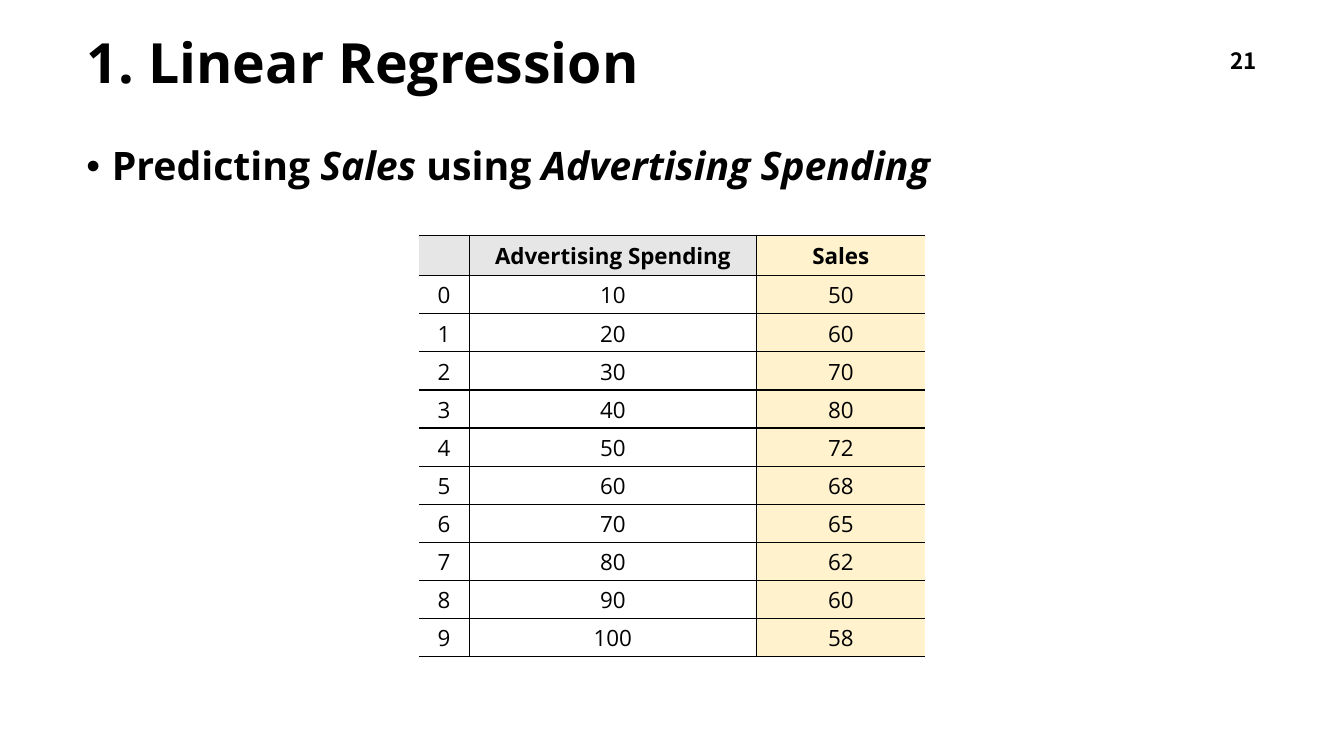
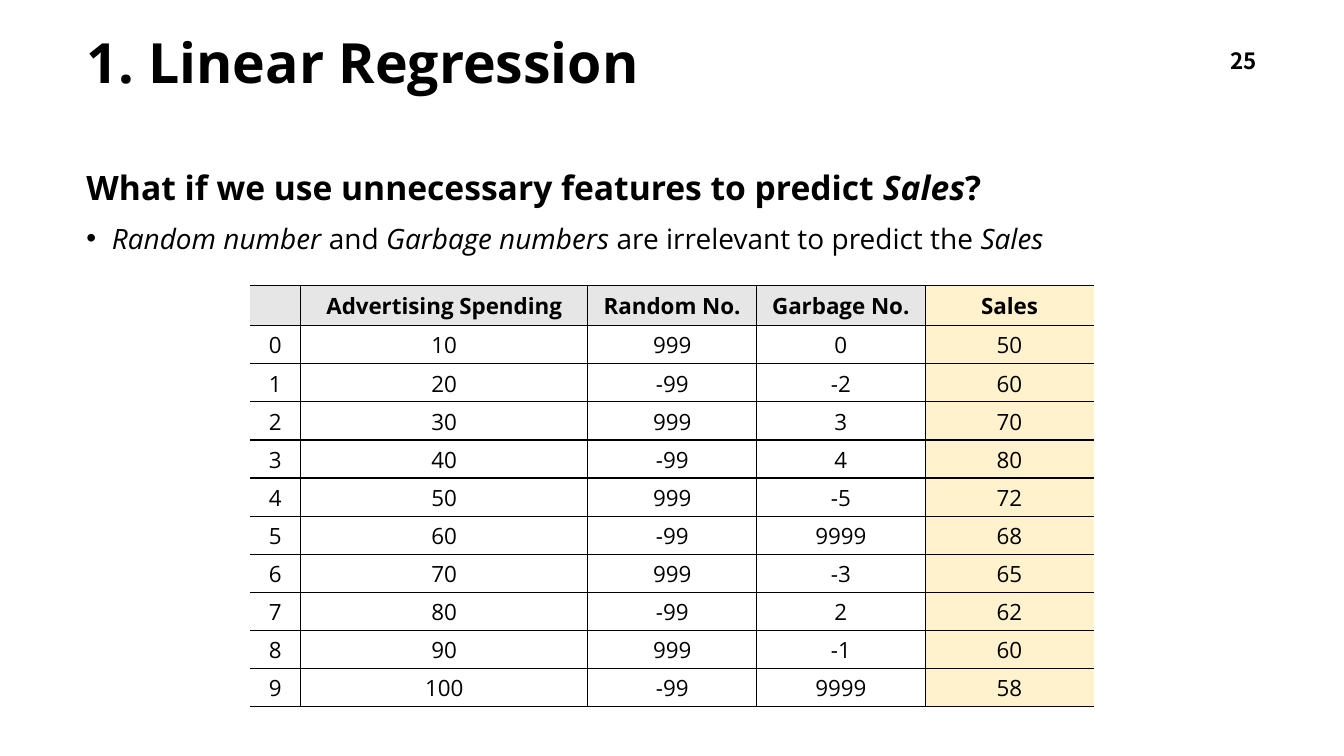
from lxml.etree import SubElement
from pptx import Presentation
from pptx.dml.color import RGBColor
from pptx.enum.text import MSO_ANCHOR, PP_ALIGN
from pptx.oxml.ns import qn
from pptx.util import Cm, Pt

INK = {"text": "000000", "rule": "000000", "page": "FFFFFF",
       "head": "E7E6E6", "goal": "FFF2CC"}
FONT = "Open Sans"
WIDE, HIGH = 33.87, 19.05
LEFT = 1.93


def write(para, text, size=16, bold=False, font=FONT, ink="text",
          align=PP_ALIGN.LEFT, space=1.0, before=0, dot=False):
    """Fill a paragraph; words between asterisks turn italic."""
    para.alignment = align
    para.line_spacing = space
    para.space_before = Pt(before)
    props = para._p.get_or_add_pPr()
    if dot:
        props.set("marL", str(Cm(0.64)))
        props.set("indent", str(-Cm(0.64)))
        SubElement(props, qn("a:buFont"), typeface="Arial")
        SubElement(props, qn("a:buChar"), char="•")
    for i, part in enumerate(text.split("*")):
        if part:
            run = para.add_run()
            run.text = part
            run.font.name = font
            run.font.size = Pt(size)
            run.font.bold = bold
            run.font.italic = i % 2 == 1
            run.font.color.rgb = RGBColor.from_string(INK[ink])


class Deck:
    def __init__(self):
        self.show = Presentation()
        self.show.slide_width = Cm(WIDE)
        self.show.slide_height = Cm(HIGH)
        self.slide = None

    def start(self, title, page):
        """Add a slide with its title and page number."""
        self.slide = self.show.slides.add_slide(self.show.slide_layouts[6])
        self.box(LEFT, 1.02, 29.5, 1.27, [(title, dict(size=39.6, bold=True, space=0.9))],
                 MSO_ANCHOR.MIDDLE)
        form = dict(bold=True, font="Noto Sans CJK KR", align=PP_ALIGN.RIGHT)
        self.box(24.3, 1.02, 7.62, 1.02, [(str(page), form)], MSO_ANCHOR.MIDDLE)

    def box(self, x, y, w, h, lines, anchor=MSO_ANCHOR.TOP):
        frame = self.slide.shapes.add_textbox(Cm(x), Cm(y), Cm(w), Cm(h)).text_frame
        frame.word_wrap = True
        frame.vertical_anchor = anchor
        for i, (text, form) in enumerate(lines):
            write(frame.add_paragraph() if i else frame.paragraphs[0], text, **form)

    def body(self, *lines):
        self.box(LEFT, 3.58, 30, 13.82, lines)

    def edge(self, cell, side, shown):
        line = SubElement(cell._tc.get_or_add_tcPr(), qn(f"a:ln{side}"), w=str(Pt(1)))
        if shown:
            fill = SubElement(line, qn("a:solidFill"))
            SubElement(fill, qn("a:srgbClr"), val=INK["rule"])
        else:
            SubElement(line, qn("a:noFill"))

    def cell(self, cell, text, head, first, last):
        """Style one cell; the outer sides of the table stay open."""
        for side, shown in (("L", not first), ("R", not last), ("T", True), ("B", True)):
            self.edge(cell, side, shown)
        cell.fill.solid()
        tone = "goal" if last else "head" if head else "page"
        cell.fill.fore_color.rgb = RGBColor.from_string(INK[tone])
        if not head:
            cell.margin_left = cell.margin_right = cell.margin_top = Cm(0.03)
            cell.margin_bottom = 0
            cell.vertical_anchor = MSO_ANCHOR.MIDDLE
        write(cell.text_frame.paragraphs[0], text, bold=head, align=PP_ALIGN.CENTER)

    def table(self, y, cols):
        """Draw numbered rows, centred, from a dict of columns."""
        rows = [["", *cols]]
        rows += [[i, *vals] for i, vals in enumerate(zip(*cols.values()))]
        sizes = [1.27, 7.24] + [4.25] * (len(cols) - 1)
        wide, row_h = sum(sizes), 0.96
        grid = self.slide.shapes.add_table(
            len(rows), len(sizes), Cm((WIDE - wide) / 2), Cm(y),
            Cm(wide), Cm(row_h * len(rows))).table
        grid.first_row = grid.horz_banding = False
        for c, size in enumerate(sizes):
            grid.columns[c].width = Cm(size)
        for r, row in enumerate(rows):
            grid.rows[r].height = Cm(row_h)
            for c, val in enumerate(row):
                self.cell(grid.cell(r, c), str(val), r == 0, c == 0, c == len(cols))


def main():
    deck = Deck()
    title = "1. Linear Regression"
    spend = {"Advertising Spending": range(10, 101, 10)}
    sales = {"Sales": [50, 60, 70, 80, 72, 68, 65, 62, 60, 58]}
    noise = {"Random No.": [999, -99] * 5,
             "Garbage No.": [0, -2, 3, 4, -5, 9999, -3, 2, -1, 9999]}

    # One feature
    deck.start(title, 21)
    deck.body(("Predicting *Sales* using *Advertising Spending*",
               dict(size=28, bold=True, space=0.9, before=10, dot=True)))
    deck.table(5.93, spend | sales)

    # Features that do not help
    deck.start(title, 25)
    deck.body(
        ("What if we use unnecessary features to predict *Sales*?",
         dict(size=24, bold=True, space=1.5, before=10)),
        ("*Random number* and *Garbage numbers* are irrelevant to predict the *Sales*",
         dict(size=20, before=10, dot=True)))
    deck.table(7.19, spend | noise | sales)

    deck.show.save("out.pptx")


if __name__ == "__main__":
    main()
